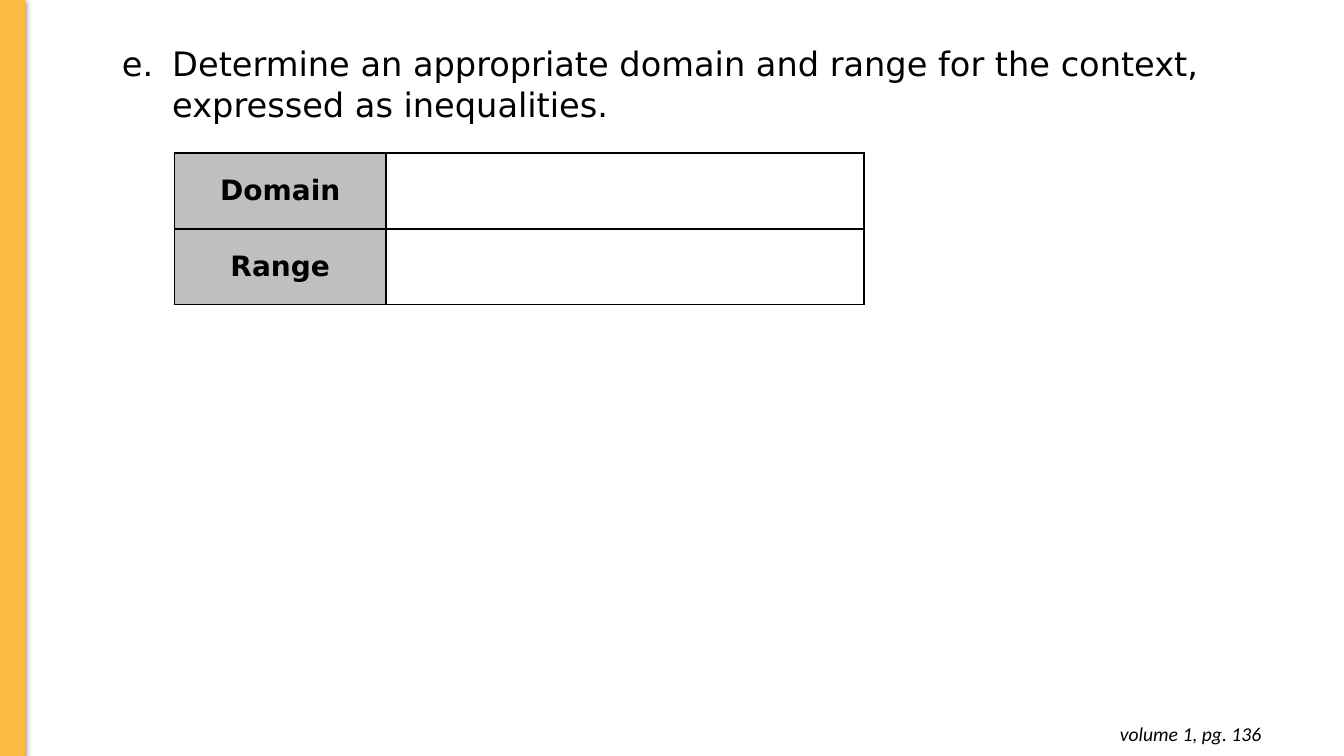
from lxml.etree import SubElement as Sub
from pptx import Presentation
from pptx.dml.color import RGBColor
from pptx.enum.shapes import MSO_SHAPE as Shape
from pptx.enum.text import MSO_ANCHOR as Anchor, MSO_AUTO_SIZE as Fit, PP_ALIGN as Align
from pptx.oxml import parse_xml
from pptx.oxml.ns import nsdecls, qn
from pptx.util import Inches, Pt

BLACK = RGBColor(0x00, 0x00, 0x00)
WHITE = RGBColor(0xFF, 0xFF, 0xFF)
AMBER = RGBColor(0xFA, 0xBB, 0x42)
GRAY = RGBColor(0xBF, 0xBF, 0xBF)
SANS = "DejaVu Sans"


def add_run(para, text, size, face=SANS, bold=False, italic=False):
    run = para.add_run()
    run.text = text
    font = run.font
    font.name, font.size = face, Pt(size)
    font.bold, font.italic = bold, italic
    font.color.rgb = BLACK


def add_box(slide, left, top, width, height):
    """Add a wrapping text box and return its text frame."""
    box = slide.shapes.add_textbox(Inches(left), Inches(top), Inches(width), Inches(height))
    frame = box.text_frame
    frame.word_wrap = True
    frame.auto_size = Fit.SHAPE_TO_FIT_TEXT
    return frame


def add_band(slide):
    """Add the amber side band with its soft shadow."""
    band = slide.shapes.add_shape(Shape.RECTANGLE, 0, Inches(-0.01), Inches(0.24), Inches(7.51))
    band.fill.solid()
    band.fill.fore_color.rgb = AMBER
    band.line.color.rgb = AMBER
    band.line.width = Pt(0.75)
    band.shadow.inherit = False
    glow = band.element.spPr.find(qn("a:effectLst"))
    glow.append(parse_xml(
        f'<a:outerShdw {nsdecls("a")} blurRad="{Pt(4.5)}" dist="{Pt(1.5)}" dir="5400000"'
        ' algn="ctr" rotWithShape="0"><a:srgbClr val="000000"><a:alpha val="50000"/>'
        '</a:srgbClr></a:outerShdw>'))


def add_task(slide, text, start):
    """Add a lettered task whose letter hangs left of the text."""
    para = add_box(slide, 0.61, 0.38, 11.81, 0.91).paragraphs[0]
    props = para._p.get_or_add_pPr()
    props.set("marL", str(Inches(1)))
    props.set("indent", str(Inches(-0.5)))
    color = Sub(props, qn("a:buClr"))
    Sub(color, qn("a:srgbClr"), val=str(BLACK))
    Sub(props, qn("a:buFont"), typeface=SANS)
    Sub(props, qn("a:buAutoNum"), type="alphaLcPeriod", startAt=str(start))
    add_run(para, text, 24)


def style_cell(cell, color):
    props = cell._tc.get_or_add_tcPr()
    for side in ("lnL", "lnR", "lnT", "lnB"):
        line = Sub(props, qn(f"a:{side}"), w=str(Pt(1.5)))
        fill = Sub(line, qn("a:solidFill"))
        Sub(fill, qn("a:srgbClr"), val=str(BLACK))
    cell.fill.solid()
    cell.fill.fore_color.rgb = color
    cell.vertical_anchor = Anchor.MIDDLE
    cell.margin_left = cell.margin_right = Inches(0.07)
    cell.margin_top = cell.margin_bottom = 0


def add_grid(slide, labels, widths, height):
    """Add a table with one label and one blank answer cell per row."""
    frame = slide.shapes.add_table(len(labels), len(widths), Inches(1.73), Inches(1.52),
                                   Inches(sum(widths)), Inches(height * len(labels)))
    table = frame.table
    table.first_row = table.horz_banding = False
    for col, width in zip(table.columns, widths):
        col.width = Inches(width)
    for row, label in zip(table.rows, labels):
        row.height = Inches(height)
        head, blank = row.cells
        style_cell(head, GRAY)
        style_cell(blank, WHITE)
        para = head.text_frame.paragraphs[0]
        para.alignment = Align.CENTER
        add_run(para, label, 20, bold=True)


def add_note(slide, text):
    """Add the page reference at the lower right."""
    frame = add_box(slide, 9.73, 7.06, 2.88, 0.44)
    frame.margin_top = frame.margin_bottom = Inches(0.1)
    para = frame.paragraphs[0]
    para.alignment = Align.RIGHT
    add_run(para, text, 14, "Calibri", italic=True)


def main():
    deck = Presentation()
    deck.slide_width, deck.slide_height = Inches(13.33), Inches(7.5)
    slide = deck.slides.add_slide(deck.slide_layouts[6])
    add_band(slide)
    add_grid(slide, ("Domain", "Range"), (2.1, 4.74), 0.75)
    add_task(slide, "Determine an appropriate domain and range for the context, "
             "expressed as inequalities.", 5)
    add_note(slide, "volume 1, pg. 136")
    deck.save("out.pptx")


if __name__ == "__main__":
    main()
